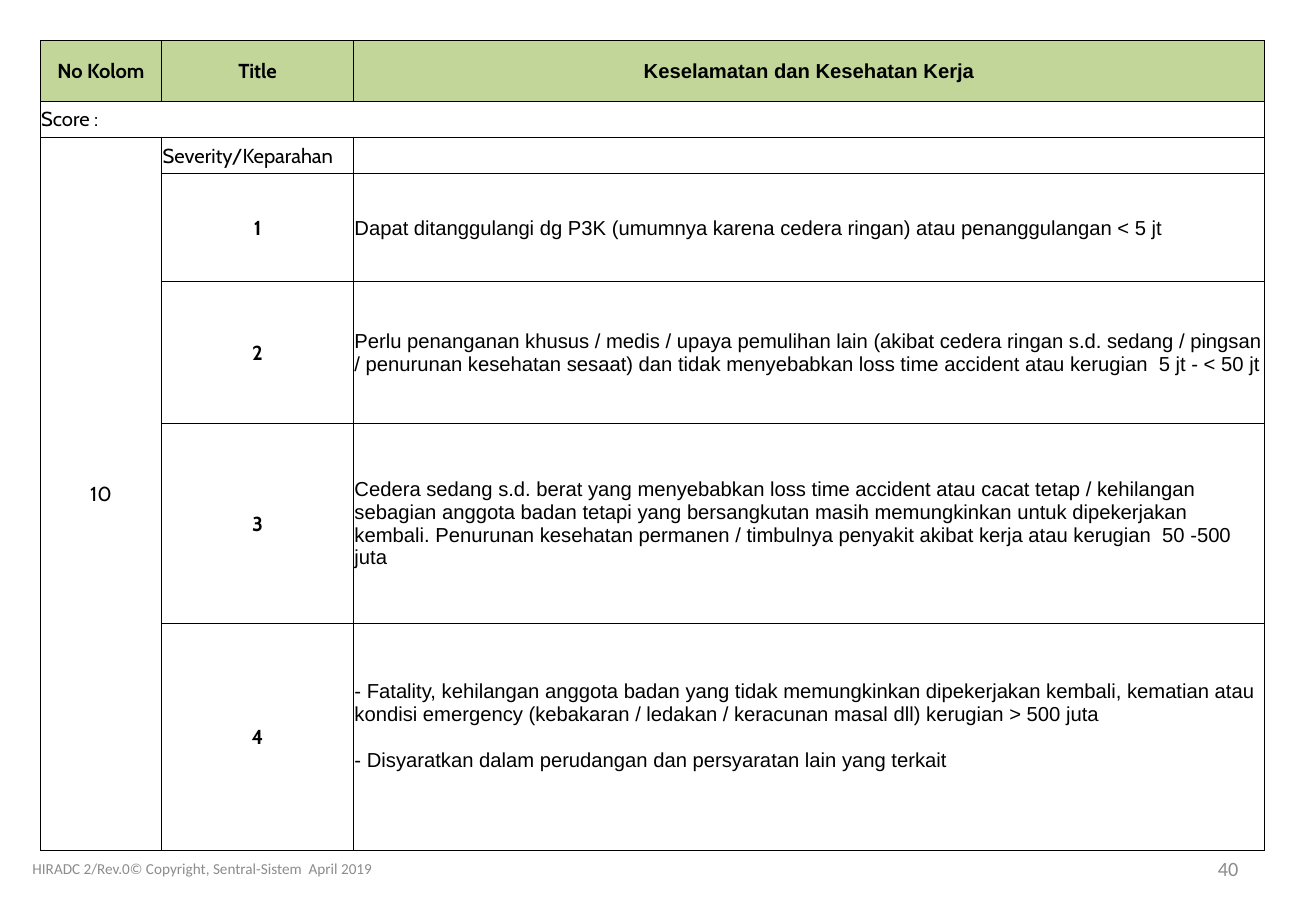
from dataclasses import dataclass

from lxml.etree import SubElement
from pptx import Presentation
from pptx.dml.color import RGBColor
from pptx.enum.text import MSO_ANCHOR as Anchor, PP_ALIGN as Align
from pptx.oxml.ns import qn
from pptx.util import Cm, Pt


@dataclass(frozen=True)
class Theme:
    ink: str = "000000"
    header_fill: str = "C2D69A"
    muted: str = "8C8C8C"
    label_font: str = "Cabin"
    body_font: str = "Arial"
    footer_font: str = "Calibri"
    text_size: float = 12
    footer_size: float = 9
    line: float = 0.5
    bottom_line: float = 1


THEME = Theme()

HEADERS = ["No Kolom", "Title", "Keselamatan dan Kesehatan Kerja"]
SEVERITIES = [
    ["Dapat ditanggulangi dg P3K (umumnya karena cedera ringan) atau penanggulangan < 5 jt"],
    ["Perlu penanganan khusus / medis / upaya pemulihan lain (akibat cedera ringan s.d. sedang / "
     "pingsan / penurunan kesehatan sesaat) dan tidak menyebabkan loss time accident atau "
     "kerugian  5 jt - < 50 jt"],
    ["Cedera sedang s.d. berat yang menyebabkan loss time accident atau cacat tetap / kehilangan "
     "sebagian anggota badan tetapi yang bersangkutan masih memungkinkan untuk dipekerjakan "
     "kembali. Penurunan kesehatan permanen / timbulnya penyakit akibat kerja atau "
     "kerugian  50 -500 juta"],
    ["- Fatality, kehilangan anggota badan yang tidak memungkinkan dipekerjakan kembali, kematian "
     "atau kondisi emergency (kebakaran / ledakan / keracunan masal dll) kerugian > 500 juta",
     "- Disyaratkan dalam perudangan dan persyaratan lain yang terkait"],
]
COLUMN_WIDTHS = [2.54, 4.01, 19.05]
ROW_HEIGHTS = [1.27, 0.76, 0.76, 2.26, 2.97, 4.17, 4.75]
SCORE_ROW, SEVERITY_ROW = 1, 2
LAST_ROW = len(ROW_HEIGHTS) - 1


def write(frame, lines, font, size, color, align=Align.LEFT, bold=False):
    for index, line in enumerate(lines):
        paragraph = frame.paragraphs[0] if index == 0 else frame.add_paragraph()
        paragraph.text = line
        paragraph.alignment = align
        if index:
            paragraph.space_before = Pt(13.5)
        paragraph.font.name = font
        paragraph.font.size = Pt(size)
        paragraph.font.bold = bold
        paragraph.font.color.rgb = RGBColor.from_string(color)


def set_borders(cell, widths):
    """Draw the cell's edges; a width of zero leaves the edge out."""
    properties = cell._tc.get_or_add_tcPr()
    for edge in ("L", "R", "T", "B"):
        width = widths[edge]
        line = SubElement(properties, qn(f"a:ln{edge}"), w=str(Pt(width)))
        if width:
            fill = SubElement(line, qn("a:solidFill"))
            SubElement(fill, qn("a:srgbClr"), val=THEME.ink)
        else:
            SubElement(line, qn("a:noFill"))


def format_cell(cell, row, column):
    cell.vertical_anchor = Anchor.MIDDLE
    cell.margin_left = cell.margin_right = cell.margin_top = Cm(0.02)
    cell.margin_bottom = Cm(0)
    widths = dict.fromkeys("LRTB", THEME.line)
    if row == SCORE_ROW:
        widths["L"] = THEME.line if column == 0 else 0
        widths["R"] = THEME.line if column == len(COLUMN_WIDTHS) - 1 else 0
    if row == LAST_ROW or (row == SEVERITY_ROW and column == 0):
        widths["B"] = THEME.bottom_line
    set_borders(cell, widths)
    if row == 0:
        cell.fill.solid()
        cell.fill.fore_color.rgb = RGBColor.from_string(THEME.header_fill)
    else:
        cell.fill.background()


def add_severity_table(slide, left, top, width, height):
    frame = slide.shapes.add_table(len(ROW_HEIGHTS), len(COLUMN_WIDTHS),
                                   Cm(left), Cm(top), Cm(width), Cm(height))
    table = frame.table
    table.first_row = table.horz_banding = False
    for column, share in zip(table.columns, COLUMN_WIDTHS):
        column.width = Cm(share * width / sum(COLUMN_WIDTHS))
    for row, share in zip(table.rows, ROW_HEIGHTS):
        row.height = Cm(share * height / sum(ROW_HEIGHTS))

    # Contents, row by row
    rows = [[[text] for text in HEADERS],
            [["Score :"], [""], [""]],
            [["10"], ["Severity/Keparahan"], [""]]]
    rows += [[[""], [str(score)], lines] for score, lines in enumerate(SEVERITIES, 1)]
    for row, contents in enumerate(rows):
        for column, lines in enumerate(contents):
            cell = table.cell(row, column)
            format_cell(cell, row, column)
            is_score = row > SEVERITY_ROW and column == 1
            centred = row == 0 or is_score or (row == SEVERITY_ROW and column == 0)
            write(cell.text_frame, lines,
                  THEME.body_font if column == 2 else THEME.label_font,
                  THEME.text_size, THEME.ink,
                  Align.CENTER if centred else Align.LEFT, row == 0 or is_score)

    # The last description sits slightly above the middle
    table.cell(LAST_ROW, 2).margin_bottom = Cm(0.47)
    table.cell(SEVERITY_ROW, 0).merge(table.cell(LAST_ROW, 0))


def add_footer(slide, left, top, width, height):
    parts = [
        (0, 15.47, "HIRADC 2/Rev.0© Copyright, Sentral-Sistem  April 2019",
         THEME.footer_size, Align.LEFT),
        (width - 6.43, 6.43, "40", THEME.text_size, Align.RIGHT),
    ]
    for offset, part_width, text, size, align in parts:
        box = slide.shapes.add_textbox(Cm(left + offset), Cm(top), Cm(part_width), Cm(height))
        box.text_frame.word_wrap = True
        box.text_frame.vertical_anchor = Anchor.MIDDLE
        write(box.text_frame, [text], THEME.footer_font, size, THEME.muted, align)


def main():
    presentation = Presentation()
    presentation.slide_width, presentation.slide_height = Cm(27.51), Cm(19.05)
    slide = presentation.slides.add_slide(presentation.slide_layouts[6])
    add_severity_table(slide, 0.84, 0.84, 25.6, 16.94)
    add_footer(slide, 0.43, 17.65, 25.71, 1.02)
    presentation.save("out.pptx")


if __name__ == "__main__":
    main()
